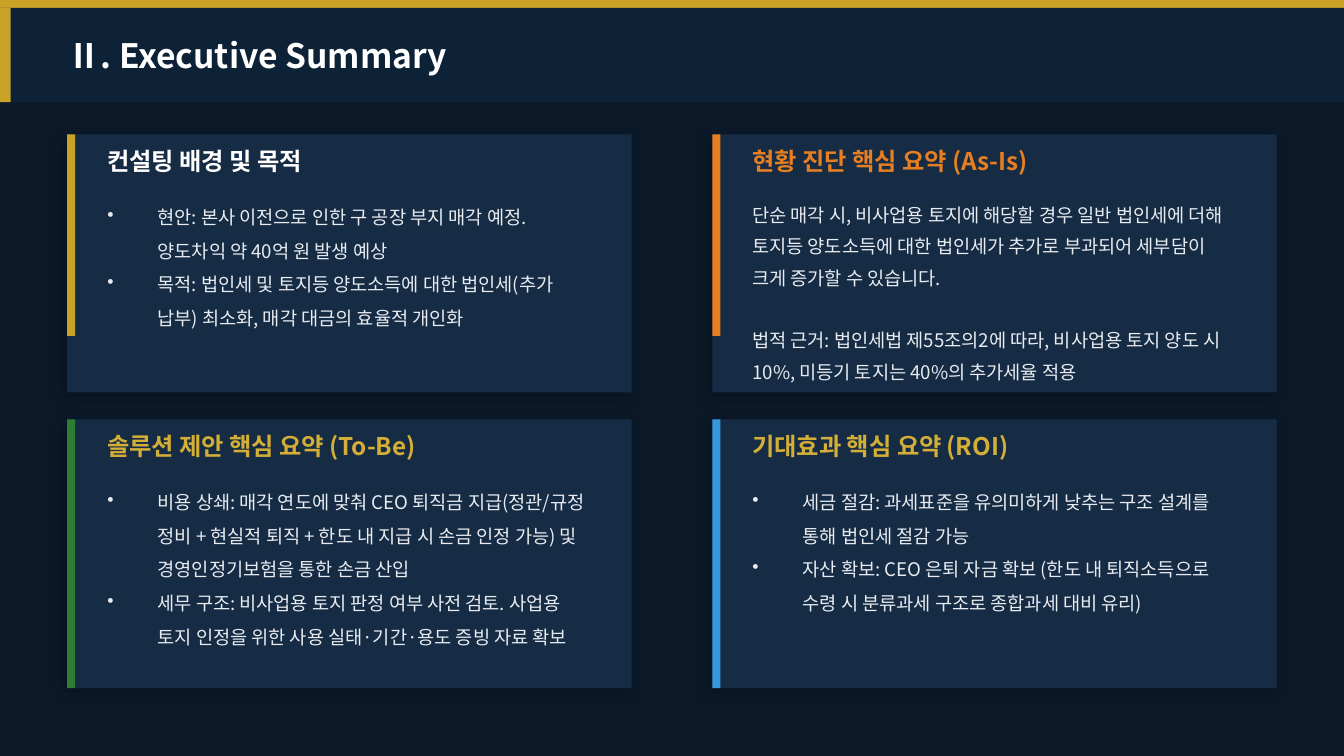
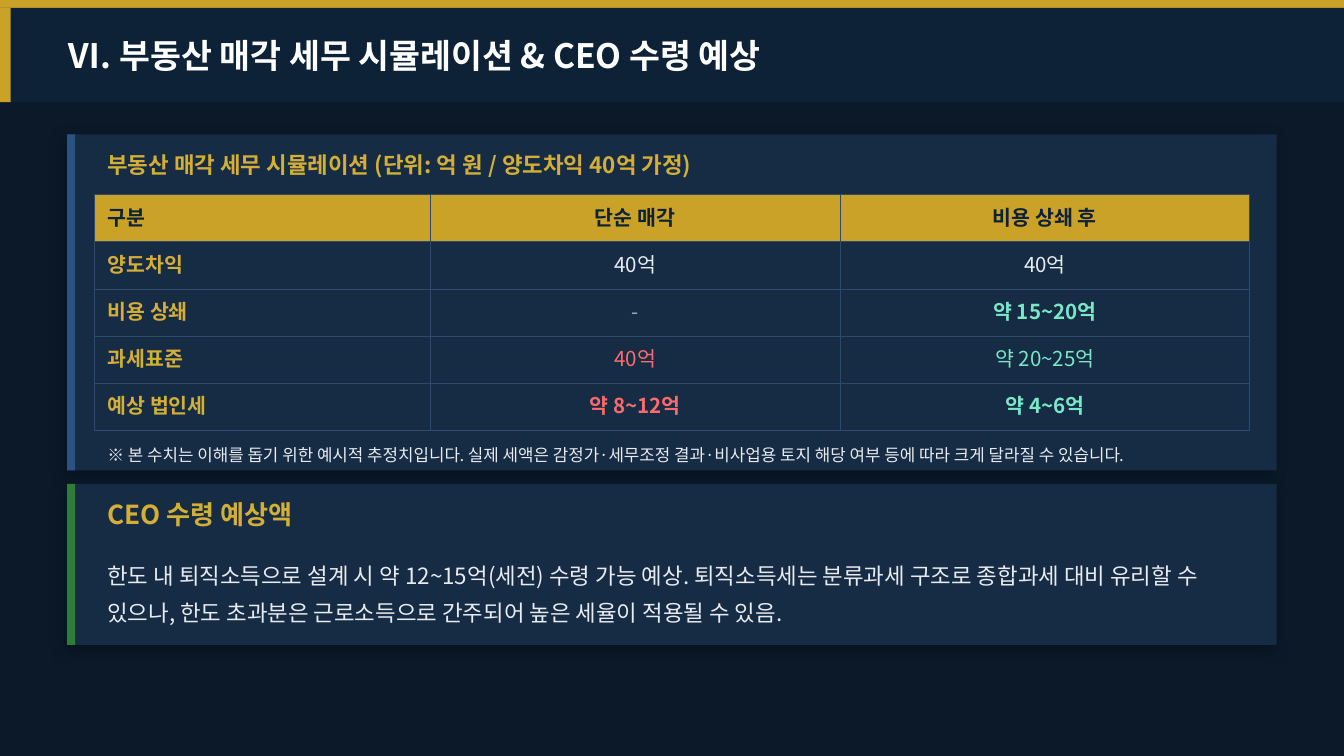
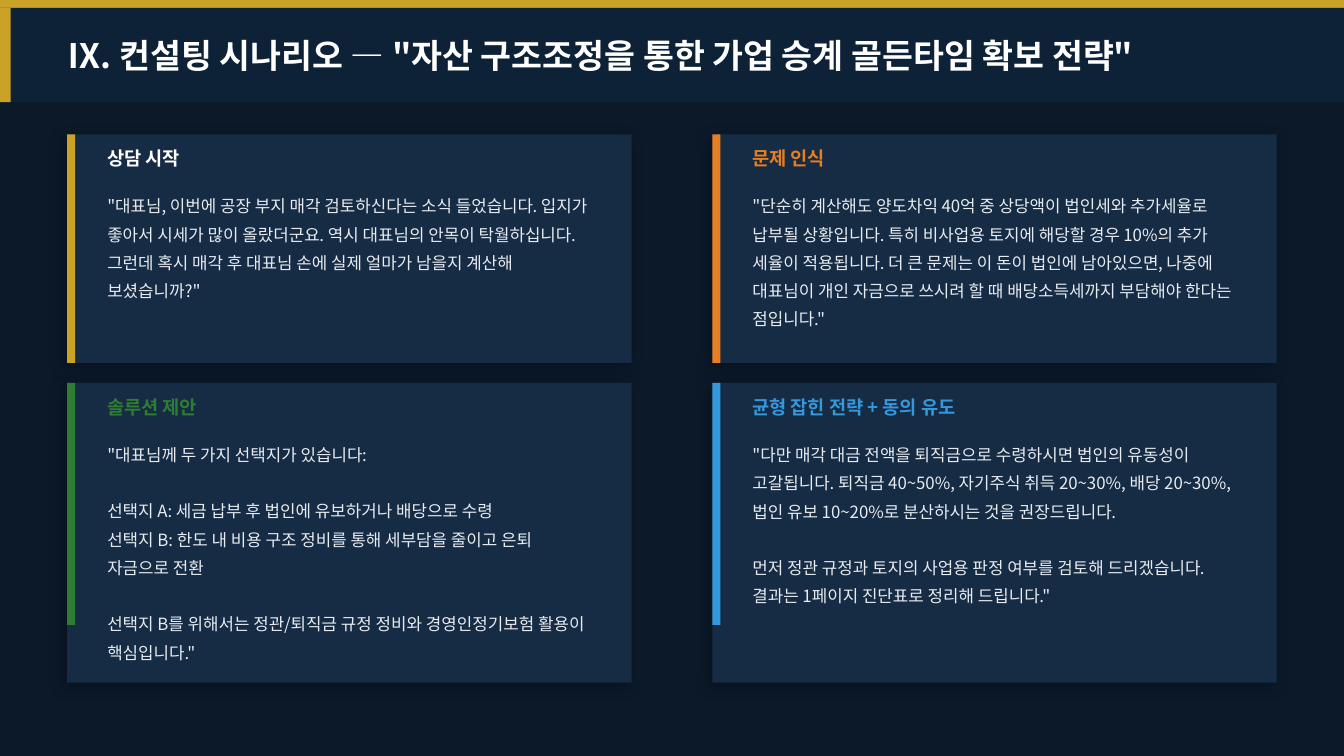
from dataclasses import dataclass
from typing import NamedTuple, Optional

from lxml.etree import SubElement
from pptx import Presentation
from pptx.dml.color import RGBColor
from pptx.enum.shapes import MSO_SHAPE
from pptx.enum.text import MSO_ANCHOR, PP_ALIGN
from pptx.oxml.ns import qn
from pptx.shapes.autoshape import Shape
from pptx.slide import Slide
from pptx.table import _Cell
from pptx.text.text import TextFrame, _Paragraph
from pptx.util import Pt

FONT = "Noto Sans CJK KR"
BACKGROUND, BAND, CARD = "0B1929", "0D2137", "162B44"
GOLD, SOFT_GOLD, ORANGE = "C9A227", "D4AF37", "E67E22"
GREEN, BLUE, NAVY = "2E7D32", "3498DB", "2C5282"
WHITE, TEXT, GREY = "FFFFFF", "E8ECF1", "A0AEC0"
MINT, RED, GRID = "7AE7C7", "FF6B6B", "2D4A6A"

SLIDE_W, SLIDE_H = 720, 405
STRIPE_H, BAND_H, TAB_W = 4.32, 50.4, 5.76
LEFT, RIGHT, TOP = 36, 381.6, 72
HALF_W, FULL_W = 302.4, 648
BAR_W, INSET, GAP = 4.32, 14.4, 3.6
BULLET_INDENT = 27
BLANK_LINE = 1.68


class Para(NamedTuple):
    text: str
    gap_after: bool = False


class Entry(NamedTuple):
    text: str
    color: str
    bold: bool = False


@dataclass
class Card:
    x: float
    y: float
    w: float
    h: float
    accent: str
    title: str
    title_color: str
    title_size: float
    title_h: float
    body: tuple[Para, ...] = ()
    body_size: float = 10
    body_h: float = 0
    spacing: float = 1.4
    bullets: bool = False
    bar_h: Optional[float] = None
    title_w: Optional[float] = None

    @property
    def text_x(self) -> float:
        return self.x + INSET

    @property
    def text_w(self) -> float:
        return self.w - 2 * INSET

    @property
    def body_y(self) -> float:
        return self.y + GAP + self.title_h + GAP


def rgb(value: str) -> RGBColor:
    return RGBColor.from_string(value)


def add_rect(s: Slide, x: float, y: float, w: float, h: float, color: str) -> Shape:
    sp = s.shapes.add_shape(MSO_SHAPE.RECTANGLE, Pt(x), Pt(y), Pt(w), Pt(h))
    sp.fill.solid()
    sp.fill.fore_color.rgb = rgb(color)
    sp.line.fill.background()
    sp.shadow.inherit = False
    return sp


def add_shadow(sp: Shape) -> None:
    effects = sp.element.spPr.find(qn("a:effectLst"))
    shadow = SubElement(effects, qn("a:outerShdw"), blurRad=str(Pt(8)), dist=str(Pt(3)),
                        dir=str(135 * 60000), algn="bl", rotWithShape="0")
    color = SubElement(shadow, qn("a:srgbClr"), val="000000")
    SubElement(color, qn("a:alpha"), val="25000")


def add_run(p: _Paragraph, text: str, size: float, color: str, bold: bool = False) -> None:
    r = p.add_run()
    r.text = text
    r.font.size = Pt(size)
    r.font.bold = bold
    r.font.name = FONT
    r.font.color.rgb = rgb(color)
    SubElement(r.font._element, qn("a:ea"), typeface=FONT)


def add_box(s: Slide, x: float, y: float, w: float, h: float) -> TextFrame:
    tf = s.shapes.add_textbox(Pt(x), Pt(y), Pt(w), Pt(h)).text_frame
    tf.word_wrap = True
    return tf


def add_heading(s: Slide, x: float, y: float, w: float, h: float,
                text: str, size: float, color: str) -> TextFrame:
    tf = add_box(s, x, y, w, h)
    tf.vertical_anchor = MSO_ANCHOR.MIDDLE
    add_run(tf.paragraphs[0], text, size, color, True)
    return tf


def add_body(s: Slide, x: float, y: float, w: float, h: float, paras: tuple[Para, ...],
             size: float, spacing: float = 1.4, bullets: bool = False) -> None:
    tf = add_box(s, x, y, w, h)
    for i, para in enumerate(paras):
        p = tf.add_paragraph() if i else tf.paragraphs[0]
        p.line_spacing = spacing
        if para.gap_after:
            p.space_after = Pt(BLANK_LINE * size)
        if bullets:
            pPr = p._p.get_or_add_pPr()
            pPr.set("marL", str(Pt(BULLET_INDENT)))
            pPr.set("indent", str(-Pt(BULLET_INDENT)))
            SubElement(pPr, qn("a:buChar"), char="•")
        add_run(p, para.text, size, TEXT)


def add_card(s: Slide, card: Card) -> None:
    add_shadow(add_rect(s, card.x, card.y, card.w, card.h, CARD))
    add_rect(s, card.x, card.y, BAR_W, card.bar_h or card.h, card.accent)
    add_heading(s, card.text_x, card.y + GAP, card.title_w or card.text_w, card.title_h,
                card.title, card.title_size, card.title_color)
    if card.body:
        add_body(s, card.text_x, card.body_y, card.text_w, card.body_h,
                 card.body, card.body_size, card.spacing, card.bullets)


def add_slide(prs: Presentation, title: str, cards: tuple[Card, ...]) -> Slide:
    s = prs.slides.add_slide(prs.slide_layouts[6])
    s.background.fill.solid()
    s.background.fill.fore_color.rgb = rgb(BACKGROUND)
    add_rect(s, 0, 0, SLIDE_W, STRIPE_H, GOLD)
    add_rect(s, 0, STRIPE_H, SLIDE_W, BAND_H, BAND)
    add_rect(s, 0, STRIPE_H, TAB_W, BAND_H, GOLD)
    tf = add_heading(s, LEFT, STRIPE_H, FULL_W, BAND_H, title, 18, WHITE)
    tf.margin_left = tf.margin_right = tf.margin_top = tf.margin_bottom = 0
    for card in cards:
        add_card(s, card)
    return s


def add_borders(cell: _Cell) -> None:
    tcPr = cell._tc.get_or_add_tcPr()
    for side in ("lnL", "lnR", "lnT", "lnB"):
        ln = SubElement(tcPr, qn(f"a:{side}"), w=str(Pt(0.5)))
        fill = SubElement(ln, qn("a:solidFill"))
        SubElement(fill, qn("a:srgbClr"), val=GRID)


def add_tax_table(s: Slide, x: float, y: float, widths: tuple[float, ...],
                  row_h: float, rows: tuple[tuple[Entry, ...], ...]) -> None:
    table = s.shapes.add_table(len(rows), len(widths), Pt(x), Pt(y),
                               Pt(sum(widths)), Pt(row_h * len(rows))).table
    table.first_row = table.horz_banding = False
    for column, width in zip(table.columns, widths):
        column.width = Pt(width)
    for i, row in enumerate(rows):
        table.rows[i].height = Pt(row_h)
        for j, entry in enumerate(row):
            cell = table.cell(i, j)
            add_borders(cell)
            if i == 0:
                cell.fill.solid()
                cell.fill.fore_color.rgb = rgb(GOLD)
            else:
                cell.fill.background()
            p = cell.text_frame.paragraphs[0]
            if j:
                p.alignment = PP_ALIGN.CENTER
            add_run(p, entry.text, 11, entry.color, entry.bold)


def summary_card(x: float, y: float, h: float, accent: str, title: str, color: str,
                 body: tuple[Para, ...], body_h: float, bar_h: Optional[float] = None,
                 bullets: bool = True) -> Card:
    return Card(x, y, HALF_W, h, accent, title, color, 13, 21.6, body, 10, body_h,
                1.5 if bullets else 1.4, bullets, bar_h)


def scenario_card(x: float, y: float, h: float, accent: str, title: str, color: str,
                  body: tuple[Para, ...], body_h: float, bar_h: Optional[float] = None,
                  title_w: Optional[float] = 108) -> Card:
    return Card(x, y, HALF_W, h, accent, title, color, 10, 18, body, 9, body_h,
                bar_h=bar_h, title_w=title_w)


def build_summary(prs: Presentation) -> None:
    lower = 224.64
    add_slide(prs, "Ⅱ. Executive Summary", (
        summary_card(LEFT, TOP, 138.24, GOLD, "컨설팅 배경 및 목적", WHITE, (
            Para("현안: 본사 이전으로 인한 구 공장 부지 매각 예정. 양도차익 약 40억 원 발생 예상"),
            Para("목적: 법인세 및 토지등 양도소득에 대한 법인세(추가 납부) 최소화, "
                 "매각 대금의 효율적 개인화"),
        ), 72, 108),
        summary_card(RIGHT, TOP, 138.24, ORANGE, "현황 진단 핵심 요약 (As-Is)", ORANGE, (
            Para("단순 매각 시, 비사업용 토지에 해당할 경우 일반 법인세에 더해 토지등 양도소득에 "
                 "대한 법인세가 추가로 부과되어 세부담이 크게 증가할 수 있습니다.", True),
            Para("법적 근거: 법인세법 제55조의2에 따라, 비사업용 토지 양도 시 10%, "
                 "미등기 토지는 40%의 추가세율 적용"),
        ), 72, 108, False),
        summary_card(LEFT, lower, 144, GREEN, "솔루션 제안 핵심 요약 (To-Be)", SOFT_GOLD, (
            Para("비용 상쇄: 매각 연도에 맞춰 CEO 퇴직금 지급(정관/규정 정비 + 현실적 퇴직 + "
                 "한도 내 지급 시 손금 인정 가능) 및 경영인정기보험을 통한 손금 산입"),
            Para("세무 구조: 비사업용 토지 판정 여부 사전 검토. 사업용 토지 인정을 위한 "
                 "사용 실태·기간·용도 증빙 자료 확보"),
        ), 100.8),
        summary_card(RIGHT, lower, 144, BLUE, "기대효과 핵심 요약 (ROI)", SOFT_GOLD, (
            Para("세금 절감: 과세표준을 유의미하게 낮추는 구조 설계를 통해 법인세 절감 가능"),
            Para("자산 확보: CEO 은퇴 자금 확보 (한도 내 퇴직소득으로 수령 시 "
                 "분류과세 구조로 종합과세 대비 유리)"),
        ), 100.8),
    ))


def build_simulation(prs: Presentation) -> None:
    simulation = Card(LEFT, TOP, FULL_W, 180, NAVY,
                      "부동산 매각 세무 시뮬레이션 (단위: 억 원 / 양도차익 40억 가정)",
                      SOFT_GOLD, 12, 25.2)
    payout = Card(LEFT, 259.2, FULL_W, 86.4, GREEN, "CEO 수령 예상액", SOFT_GOLD, 14, 25.2, (
        Para("한도 내 퇴직소득으로 설계 시 약 12~15억(세전) 수령 가능 예상. 퇴직소득세는 "
             "분류과세 구조로 종합과세 대비 유리할 수 있으나, 한도 초과분은 근로소득으로 "
             "간주되어 높은 세율이 적용될 수 있음."),
    ), 12, 46.8)
    s = add_slide(prs, "Ⅵ. 부동산 매각 세무 시뮬레이션 & CEO 수령 예상", (simulation, payout))
    header = tuple(Entry(text, BAND, True) for text in ("구분", "단순 매각", "비용 상쇄 후"))
    rows = (
        header,
        (Entry("양도차익", SOFT_GOLD, True), Entry("40억", TEXT), Entry("40억", TEXT)),
        (Entry("비용 상쇄", SOFT_GOLD, True), Entry("-", GREY), Entry("약 15~20억", MINT, True)),
        (Entry("과세표준", SOFT_GOLD, True), Entry("40억", RED), Entry("약 20~25억", MINT)),
        (Entry("예상 법인세", SOFT_GOLD, True), Entry("약 8~12억", RED, True),
         Entry("약 4~6억", MINT, True)),
    )
    row_h = 25.2
    add_tax_table(s, simulation.text_x, simulation.body_y, (180, 219.6, 219.6), row_h, rows)
    add_body(s, simulation.text_x, simulation.body_y + row_h * len(rows),
             simulation.text_w, 18, (
                 Para("※ 본 수치는 이해를 돕기 위한 예시적 추정치입니다. 실제 세액은 "
                      "감정가·세무조정 결과·비사업용 토지 해당 여부 등에 따라 "
                      "크게 달라질 수 있습니다."),
             ), 9)


def build_scenario(prs: Presentation) -> None:
    lower = 205.2
    add_slide(prs, 'Ⅸ. 컨설팅 시나리오 — "자산 구조조정을 통한 가업 승계 골든타임 확보 전략"', (
        scenario_card(LEFT, TOP, 122.4, GOLD, "상담 시작", WHITE, (
            Para('"대표님, 이번에 공장 부지 매각 검토하신다는 소식 들었습니다. 입지가 좋아서 '
                 '시세가 많이 올랐더군요. 역시 대표님의 안목이 탁월하십니다. 그런데 혹시 매각 후 '
                 '대표님 손에 실제 얼마가 남을지 계산해 보셨습니까?"'),
        ), 86.4),
        scenario_card(RIGHT, TOP, 122.4, ORANGE, "문제 인식", ORANGE, (
            Para('"단순히 계산해도 양도차익 40억 중 상당액이 법인세와 추가세율로 납부될 '
                 '상황입니다. 특히 비사업용 토지에 해당할 경우 10%의 추가 세율이 적용됩니다. '
                 '더 큰 문제는 이 돈이 법인에 남아있으면, 나중에 대표님이 개인 자금으로 쓰시려 '
                 '할 때 배당소득세까지 부담해야 한다는 점입니다."'),
        ), 86.4),
        scenario_card(LEFT, lower, 160.56, GREEN, "솔루션 제안", GREEN, (
            Para('"대표님께 두 가지 선택지가 있습니다:', True),
            Para("선택지 A: 세금 납부 후 법인에 유보하거나 배당으로 수령"),
            Para("선택지 B: 한도 내 비용 구조 정비를 통해 세부담을 줄이고 은퇴 자금으로 전환", True),
            Para('선택지 B를 위해서는 정관/퇴직금 규정 정비와 경영인정기보험 활용이 핵심입니다."'),
        ), 93.6, 129.6),
        scenario_card(RIGHT, lower, 160.56, BLUE, "균형 잡힌 전략 + 동의 유도", BLUE, (
            Para('"다만 매각 대금 전액을 퇴직금으로 수령하시면 법인의 유동성이 고갈됩니다. '
                 '퇴직금 40~50%, 자기주식 취득 20~30%, 배당 20~30%, 법인 유보 10~20%로 '
                 '분산하시는 것을 권장드립니다.', True),
            Para('먼저 정관 규정과 토지의 사업용 판정 여부를 검토해 드리겠습니다. '
                 '결과는 1페이지 진단표로 정리해 드립니다."'),
        ), 93.6, 129.6, None),
    ))


def main() -> None:
    prs = Presentation()
    prs.slide_width, prs.slide_height = Pt(SLIDE_W), Pt(SLIDE_H)
    build_summary(prs)
    build_simulation(prs)
    build_scenario(prs)
    prs.save("out.pptx")


if __name__ == "__main__":
    main()
